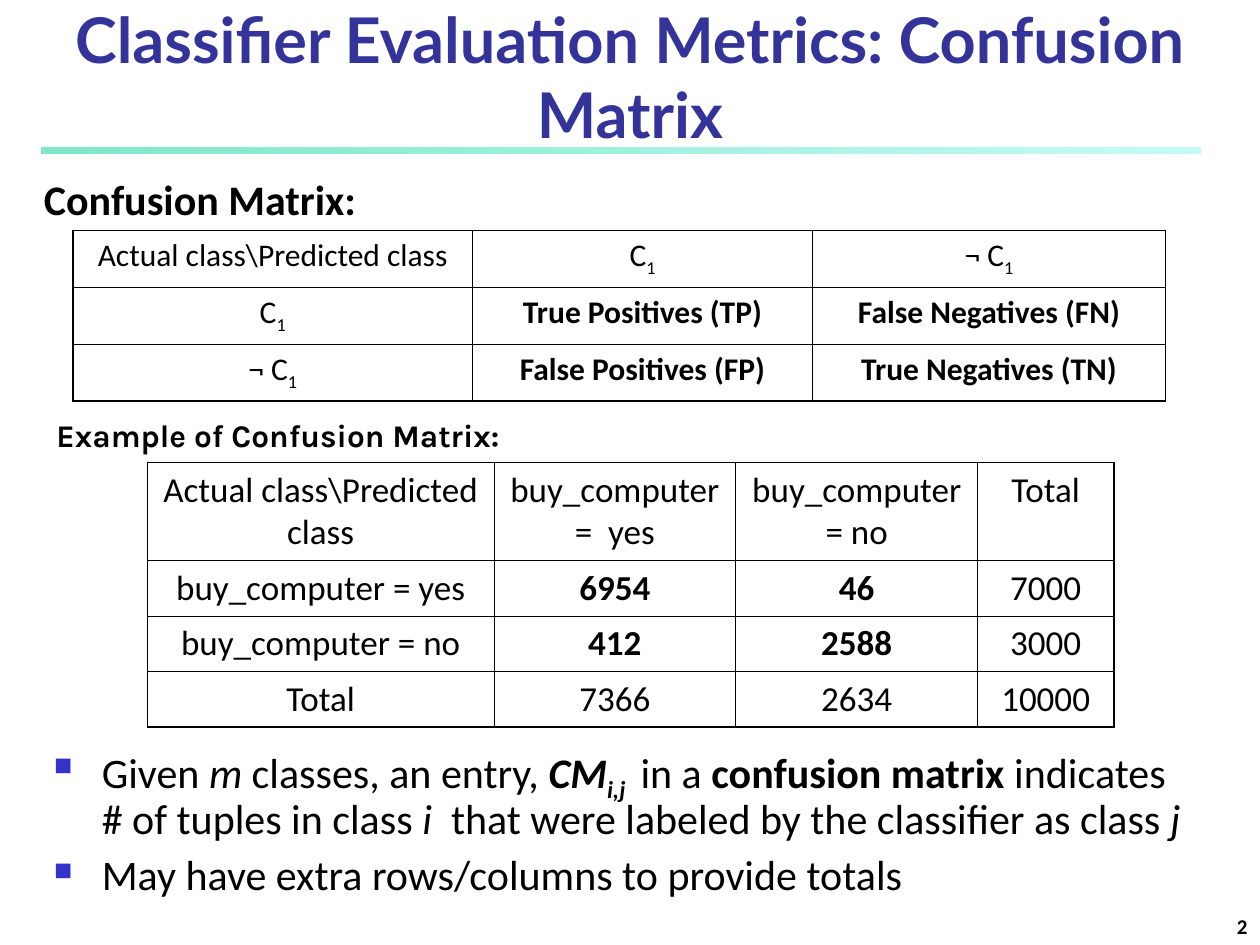
from lxml import etree
from pptx import Presentation
from pptx import util as u
from pptx.dml.color import RGBColor
from pptx.enum import shapes, text
from pptx.oxml import ns

WIDTH, HEIGHT = 10, 7.5
BLACK = RGBColor(0, 0, 0)
TITLE_BLUE = RGBColor(0x33, 0x33, 0x99)
BULLET_BLUE = RGBColor(0x33, 0x33, 0xCC)
TEAL = RGBColor(0x00, 0xCE, 0x98)
AQUA = RGBColor(0x8F, 0xF9, 0xEF)
OUTER_LINE, INNER_LINE = 1.08, 0.45

# A run is (text, flags): b bold, i italic, s subscript.
C1 = [("C", ""), ("1", "s")]
NOT_C1 = [("¬ C", ""), ("1", "s")]


def plain(words):
    return [(words, "")]


def bold(words):
    return [(words, "b")]


def sub_element(parent, tag, **attributes):
    return etree.SubElement(parent, ns.qn(tag), attributes)


def add_runs(paragraph, runs, size, font="Calibri", color=BLACK):
    for words, flags in runs:
        run = paragraph.add_run()
        run.text = words
        run.font.size = u.Pt(size)
        run.font.name = font
        run.font.color.rgb = color
        run.font.bold = "b" in flags
        run.font.italic = "i" in flags
        if "s" in flags:
            run.font._element.set("baseline", "-25000")


def add_text(slide, box, runs, size, font="Calibri", color=BLACK, wrap=True,
             align=text.PP_ALIGN.LEFT, anchor=text.MSO_ANCHOR.TOP):
    frame = slide.shapes.add_textbox(*map(u.Inches, box)).text_frame
    frame.word_wrap = wrap
    frame.vertical_anchor = anchor
    paragraph = frame.paragraphs[0]
    paragraph.alignment = align
    add_runs(paragraph, runs, size, font, color)


def add_rule(slide, box):
    """Translucent gradient bar under the title."""
    rule = slide.shapes.add_shape(shapes.MSO_SHAPE.RECTANGLE, *map(u.Inches, box))
    rule.shadow.inherit = False
    rule.line.fill.background()
    rule.fill.gradient()
    rule.fill.gradient_angle = 0
    for stop, color in zip(rule.fill.gradient_stops, (TEAL, AQUA)):
        stop.color.rgb = color
    colors = rule._element.spPr.iter(ns.qn("a:srgbClr"))
    for color, alpha in zip(list(colors), ("50000", "52000")):
        sub_element(color, "a:alpha", val=alpha)


def set_borders(cell, widths):
    """Draw the left, right, top and bottom borders, in points."""
    properties = cell._tc.get_or_add_tcPr()
    for side, width in zip("LRTB", widths):
        line = sub_element(properties, f"a:ln{side}", w=str(u.Pt(width)))
        fill = sub_element(line, "a:solidFill")
        sub_element(fill, "a:srgbClr", val=str(BLACK))


def add_matrix(slide, left, top, columns, heights, rows, size):
    """Centred table with a heavier line round the outside."""
    table = slide.shapes.add_table(
        len(rows), len(columns), u.Inches(left), u.Inches(top),
        u.Inches(sum(columns)), u.Inches(sum(heights))).table
    table.first_row = table.horz_banding = False
    for column, width in zip(table.columns, columns):
        column.width = u.Inches(width)
    for row, height in zip(table.rows, heights):
        row.height = u.Inches(height)
    last_row, last_column = len(rows) - 1, len(columns) - 1
    for r, row in enumerate(rows):
        for c, runs in enumerate(row):
            cell = table.cell(r, c)
            outer = (c == 0, c == last_column, r == 0, r == last_row)
            set_borders(cell, [OUTER_LINE if edge else INNER_LINE for edge in outer])
            cell.fill.background()
            paragraph = cell.text_frame.paragraphs[0]
            paragraph.alignment = text.PP_ALIGN.CENTER
            add_runs(paragraph, runs, size)


def add_bullets(slide, box, items, size):
    frame = slide.shapes.add_textbox(*map(u.Inches, box)).text_frame
    frame.word_wrap = True
    for number, runs in enumerate(items):
        paragraph = frame.add_paragraph() if number else frame.paragraphs[0]
        paragraph.line_spacing = 0.9
        paragraph.space_before = u.Pt(6 if number else 0)
        properties = paragraph._p.get_or_add_pPr()
        indent = u.Inches(0.38)
        properties.set("marL", str(indent))
        properties.set("indent", str(-indent))
        color = sub_element(properties, "a:buClr")
        sub_element(color, "a:srgbClr", val=str(BULLET_BLUE))
        sub_element(properties, "a:buSzPct", val="60000")
        sub_element(properties, "a:buChar", char="■")
        add_runs(paragraph, runs, size)


def main():
    deck = Presentation()
    deck.slide_width, deck.slide_height = u.Inches(WIDTH), u.Inches(HEIGHT)
    slide = deck.slides.add_slide(deck.slide_layouts[6])

    add_rule(slide, (0.33, 1.17, 0.92 * WIDTH, 0.05))
    add_text(slide, (0, 0, WIDTH, HEIGHT / 6),
             bold("Classifier Evaluation Metrics: Confusion Matrix"), 36, "Lato",
             TITLE_BLUE, align=text.PP_ALIGN.CENTER, anchor=text.MSO_ANCHOR.BOTTOM)

    add_text(slide, (0.25, 1.33, 2.85, 0.5), bold("Confusion Matrix:"), 24)
    add_matrix(slide, 0.58, 1.83, [3.17, 2.7, 2.8], [0.45] * 3, [
        [plain("Actual class\\Predicted class"), C1, NOT_C1],
        [C1, bold("True Positives (TP)"), bold("False Negatives (FN)")],
        [NOT_C1, bold("False Positives (FP)"), bold("True Negatives (TN)")],
    ], 18)

    add_text(slide, (0.35, 3.25, 3.87, 0.4), bold("Example of Confusion Matrix:"),
             18, "Karla", wrap=False)
    headings = ["Actual class\\Predicted class", "buy_computer =  yes",
                "buy_computer = no", "Total"]
    totals = ["Total", "7366", "2634", "10000"]
    add_matrix(slide, 1.17, 3.67, [2.75, 1.92, 1.92, 1.08], [0.78] + [0.44] * 3, [
        [plain(heading) for heading in headings],
        [plain("buy_computer = yes"), bold("6954"), bold("46"), plain("7000")],
        [plain("buy_computer = no"), bold("412"), bold("2588"), plain("3000")],
        [plain(total) for total in totals],
    ], 20)

    add_bullets(slide, (0.33, 5.88, 9.25, 1.37), [
        [("Given", ""), (" m", "i"), (" classes, an entry, ", ""), ("CM", "bi"),
         ("i,j ", "bis"), (" in a ", ""), ("confusion matrix", "b"),
         (" indicates # of tuples in class ", ""), ("i", "i"),
         ("  that were labeled by the classifier as class ", ""), ("j", "i")],
        plain("May have extra rows/columns to provide totals"),
    ], 24)
    add_text(slide, (7.92, 7.08, 2.08, 0.42), bold("2"), 12,
             align=text.PP_ALIGN.RIGHT, anchor=text.MSO_ANCHOR.BOTTOM)

    deck.save("out.pptx")


if __name__ == "__main__":
    main()
